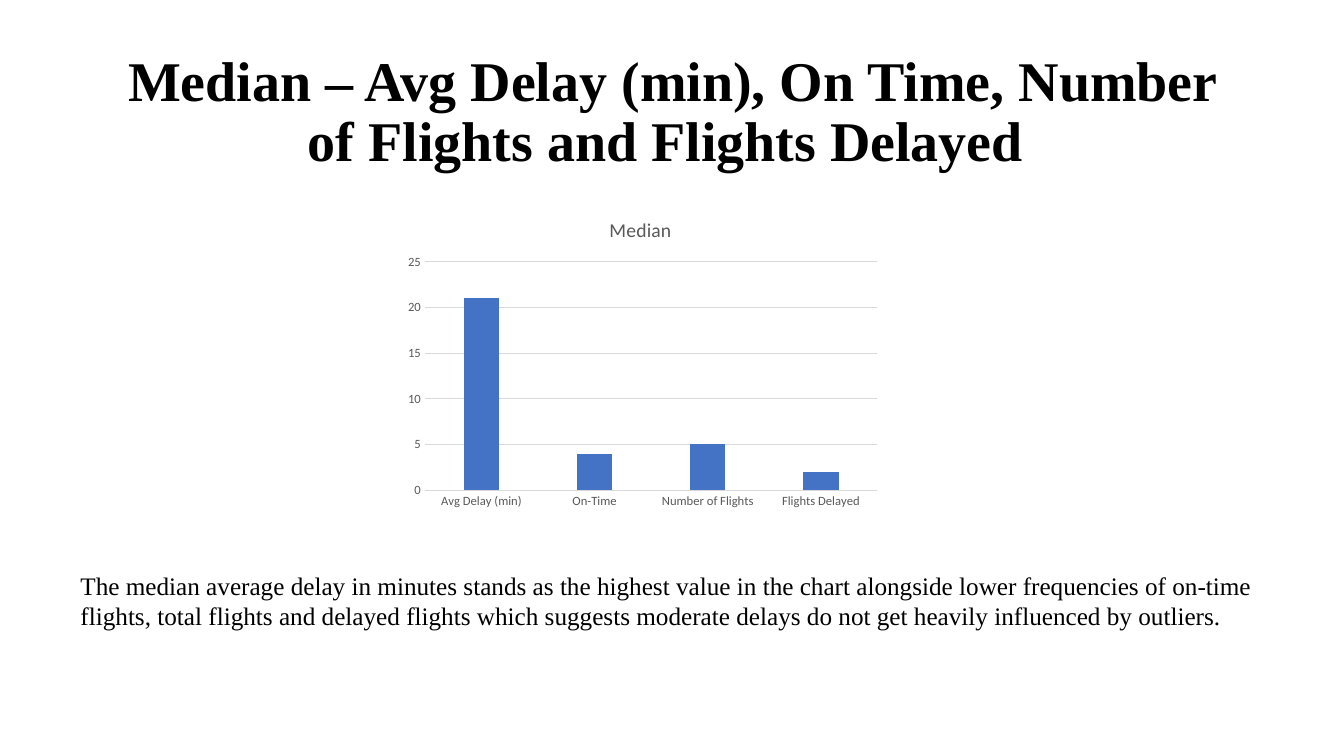
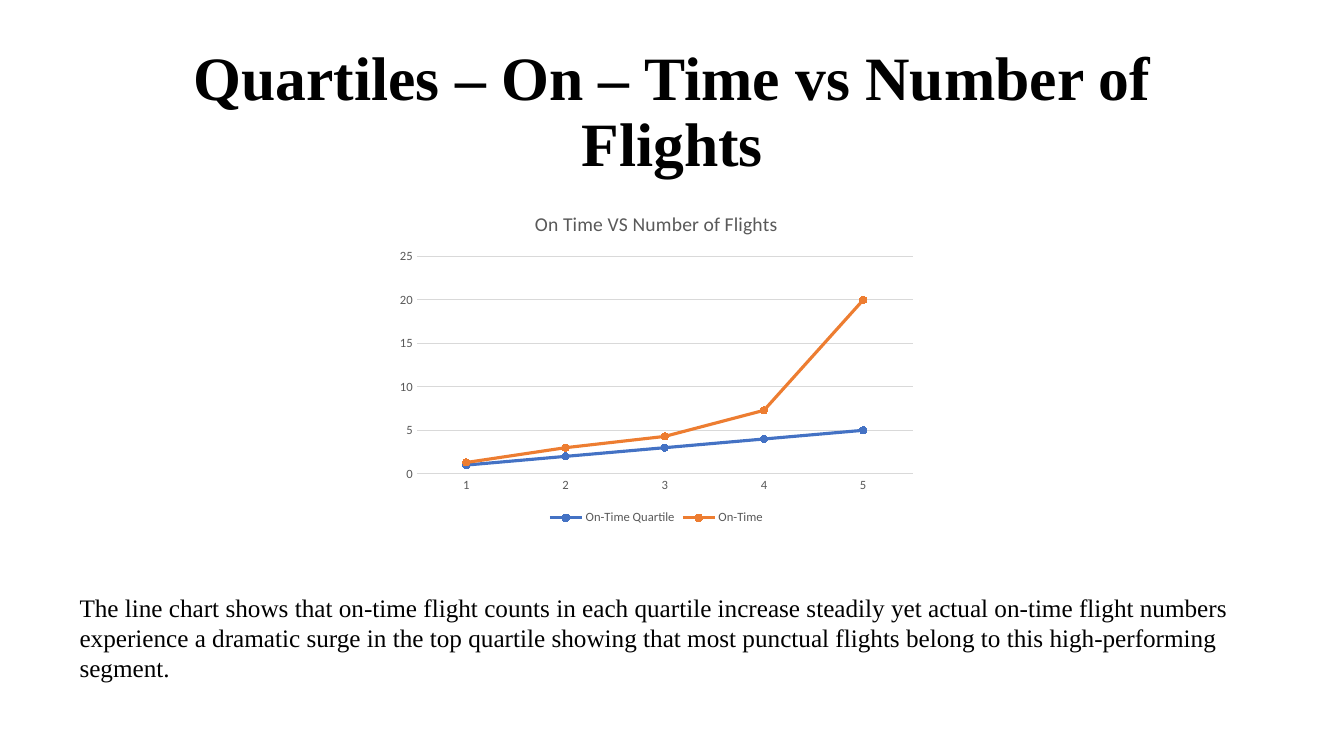
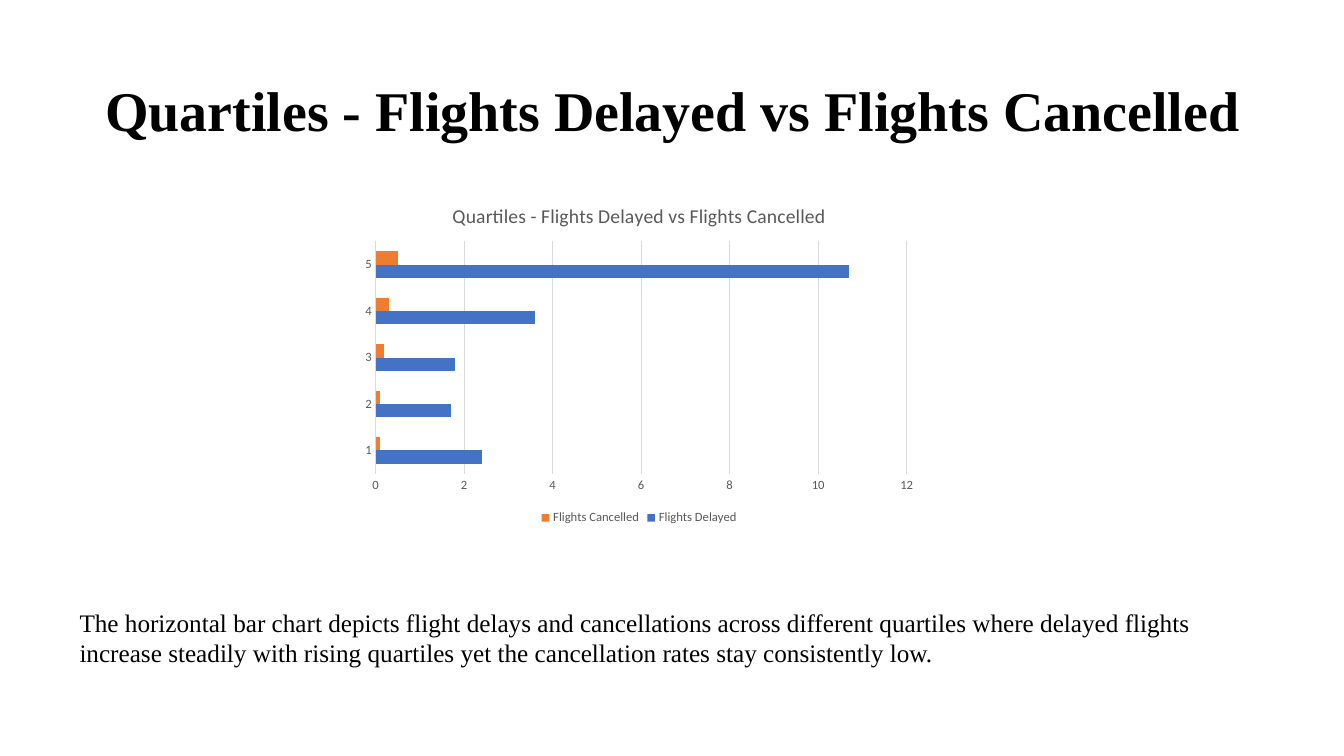
from dataclasses import dataclass

from pptx import Presentation
from pptx.chart.data import CategoryChartData
from pptx.dml.color import RGBColor
from pptx.enum.chart import (XL_CHART_TYPE, XL_LEGEND_POSITION,
                             XL_MARKER_STYLE, XL_TICK_MARK)
from pptx.enum.text import MSO_ANCHOR, PP_ALIGN
from pptx.util import Inches, Pt


@dataclass(frozen=True)
class Theme:
    ink: RGBColor = RGBColor(0x00, 0x00, 0x00)
    label: RGBColor = RGBColor(0x59, 0x59, 0x59)
    grid: RGBColor = RGBColor(0xD9, 0xD9, 0xD9)
    series: tuple = (RGBColor(0x44, 0x72, 0xC4), RGBColor(0xED, 0x7D, 0x31))
    text_font: str = "Times New Roman"
    chart_font: str = "Calibri"
    title_size: int = 40
    body_size: int = 18
    chart_title_size: int = 14
    label_size: int = 9
    grid_width: float = 0.75
    line_width: float = 2.25
    marker_size: int = 5


THEME = Theme()
TITLE_BOX = (0.92, 0.4, 11.5, 1.45)
QUARTILES = ["1", "2", "3", "4", "5"]


# Text
def style_font(font, name, size, color, bold=False):
    font.name = name
    font.size = Pt(size)
    font.color.rgb = color
    font.bold = bold


def add_text(slide, text, box, size=THEME.body_size, bold=False,
             align=PP_ALIGN.LEFT, anchor=MSO_ANCHOR.MIDDLE, spacing=1.0):
    frame = slide.shapes.add_textbox(*map(Inches, box)).text_frame
    frame.word_wrap = True
    frame.vertical_anchor = anchor
    paragraph = frame.paragraphs[0]
    paragraph.alignment = align
    paragraph.line_spacing = spacing
    run = paragraph.add_run()
    run.text = text
    style_font(run.font, THEME.text_font, size, THEME.ink, bold)


def add_title(slide, text, size=THEME.title_size):
    add_text(slide, text, TITLE_BOX, size=size, bold=True,
             align=PP_ALIGN.CENTER, spacing=0.9)


# Charts
def style_grid_line(line):
    line.color.rgb = THEME.grid
    line.width = Pt(THEME.grid_width)


def style_axes(chart, category_line):
    for axis in (chart.category_axis, chart.value_axis):
        axis.major_tick_mark = axis.minor_tick_mark = XL_TICK_MARK.NONE
        style_font(axis.tick_labels.font, THEME.chart_font,
                   THEME.label_size, THEME.label)
        axis.format.line.fill.background()
    if category_line:
        style_grid_line(chart.category_axis.format.line)
    chart.category_axis.has_major_gridlines = False
    chart.value_axis.has_major_gridlines = True
    style_grid_line(chart.value_axis.major_gridlines.format.line)


def style_series(series, color, as_line):
    if not as_line:
        series.format.fill.solid()
        series.format.fill.fore_color.rgb = color
        series.invert_if_negative = False
        return
    series.smooth = False
    series.format.line.color.rgb = color
    series.format.line.width = Pt(THEME.line_width)
    marker = series.marker
    marker.style = XL_MARKER_STYLE.CIRCLE
    marker.size = THEME.marker_size
    marker.format.fill.solid()
    marker.format.fill.fore_color.rgb = color
    marker.format.line.color.rgb = color


def add_chart(slide, kind, box, title, categories, values, gap=None,
              overlap=None, legend=True, category_line=True):
    data = CategoryChartData()
    data.categories = categories
    for name, numbers in values.items():
        data.add_series(name, numbers)
    chart = slide.shapes.add_chart(kind, *map(Inches, box), data).chart
    style_font(chart.font, THEME.chart_font, 10, THEME.ink)

    chart.has_title = True
    heading = chart.chart_title.text_frame.paragraphs[0].add_run()
    heading.text = title
    style_font(heading.font, THEME.chart_font, THEME.chart_title_size, THEME.label)

    chart.has_legend = legend
    if legend:
        chart.legend.position = XL_LEGEND_POSITION.BOTTOM
        chart.legend.include_in_layout = False
        style_font(chart.legend.font, THEME.chart_font,
                   THEME.label_size, THEME.label)

    style_axes(chart, category_line)
    plot = chart.plots[0]
    plot.vary_by_categories = False
    if gap is not None:
        plot.gap_width = gap
    if overlap is not None:
        plot.overlap = overlap
    for series, color in zip(plot.series, THEME.series):
        style_series(series, color, kind == XL_CHART_TYPE.LINE_MARKERS)


# Slides
def add_median_slide(slide):
    add_title(slide, "Median – Avg Delay (min), On Time, Number of Flights "
                     "and Flights Delayed ")
    add_text(slide,
             "The median average delay in minutes stands as the highest value in "
             "the chart alongside lower frequencies of on-time flights, total "
             "flights and delayed flights which suggests moderate delays do not "
             "get heavily influenced by outliers.",
             (0.7, 5.61, 11.93, 0.71), anchor=MSO_ANCHOR.TOP)
    add_chart(slide, XL_CHART_TYPE.COLUMN_CLUSTERED, (3.95, 1.99, 4.85, 3.12),
              "Median ",
              ["Avg Delay (min)", "On-Time", "Number of Flights", "Flights Delayed"],
              {"Median ": [21, 4, 5, 2]}, gap=219, overlap=-27, legend=False)


def add_on_time_slide(slide):
    add_title(slide, "Quartiles – On – Time vs Number of Flights", size=44)
    add_text(slide,
             "The line chart shows that on-time flight counts in each quartile "
             "increase steadily yet actual on-time flight numbers experience a "
             "dramatic surge in the top quartile showing that most punctual "
             "flights belong to this high-performing segment.",
             (0.69, 5.82, 12.09, 1.01))
    add_chart(slide, XL_CHART_TYPE.LINE_MARKERS, (3.86, 1.93, 5.3, 3.32),
              "On Time VS Number of Flights", QUARTILES,
              {"On-Time Quartile": [1, 2, 3, 4, 5],
               "On-Time": [1.3, 3, 4.3, 7.3, 20]})


def add_cancelled_slide(slide):
    heading = "Quartiles - Flights Delayed vs Flights Cancelled"
    add_title(slide, heading)
    add_text(slide,
             "The horizontal bar chart depicts flight delays and cancellations "
             "across different quartiles where delayed flights increase steadily "
             "with rising quartiles yet the cancellation rates stay consistently "
             "low.",
             (0.69, 5.97, 12.09, 0.71))
    add_chart(slide, XL_CHART_TYPE.BAR_CLUSTERED, (3.51, 1.85, 5.66, 3.4),
              heading, QUARTILES,
              {"Flights Delayed": [2.4, 1.7, 1.8, 3.6, 10.7],
               "Flights Cancelled": [0.1, 0.1, 0.2, 0.3, 0.5]},
              gap=150, category_line=False)


def main():
    deck = Presentation()
    deck.slide_width = Inches(13.33)
    deck.slide_height = Inches(7.5)
    blank = deck.slide_layouts[6]
    for fill_slide in (add_median_slide, add_on_time_slide, add_cancelled_slide):
        fill_slide(deck.slides.add_slide(blank))
    deck.save("out.pptx")


if __name__ == "__main__":
    main()
